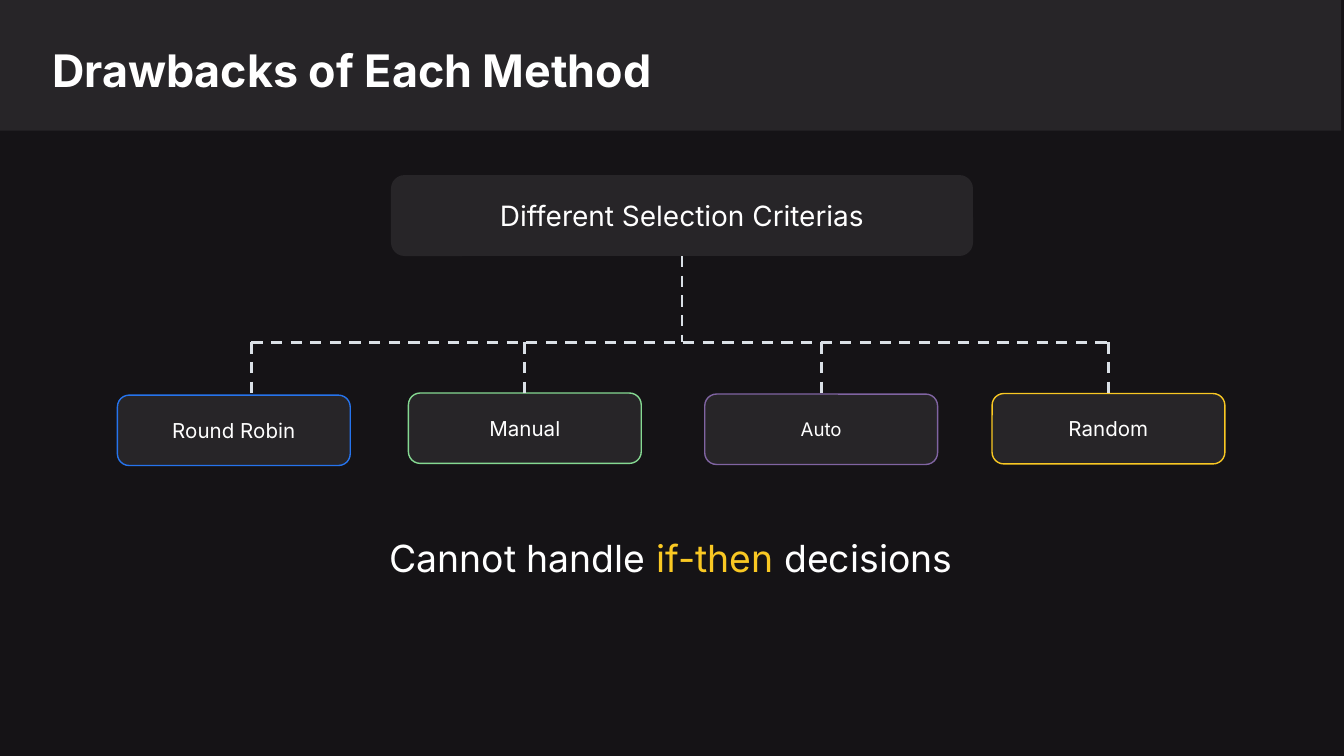
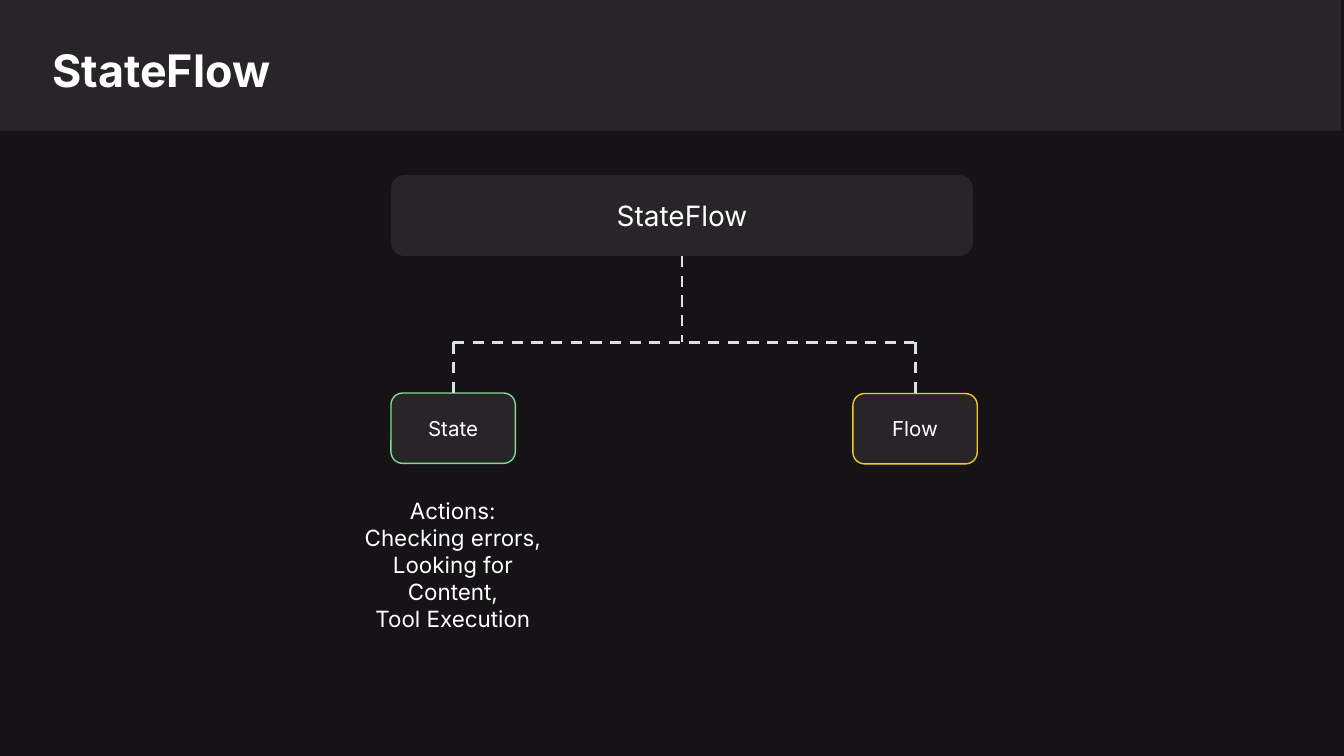
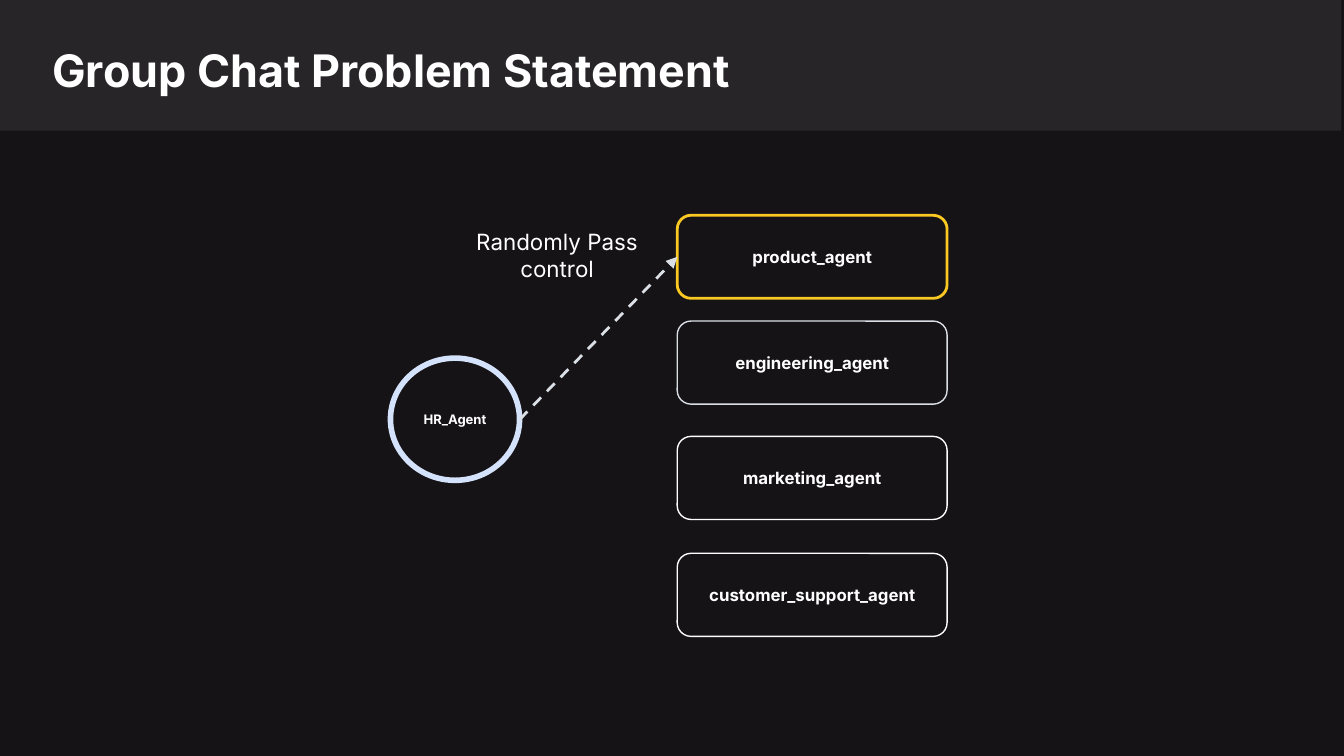
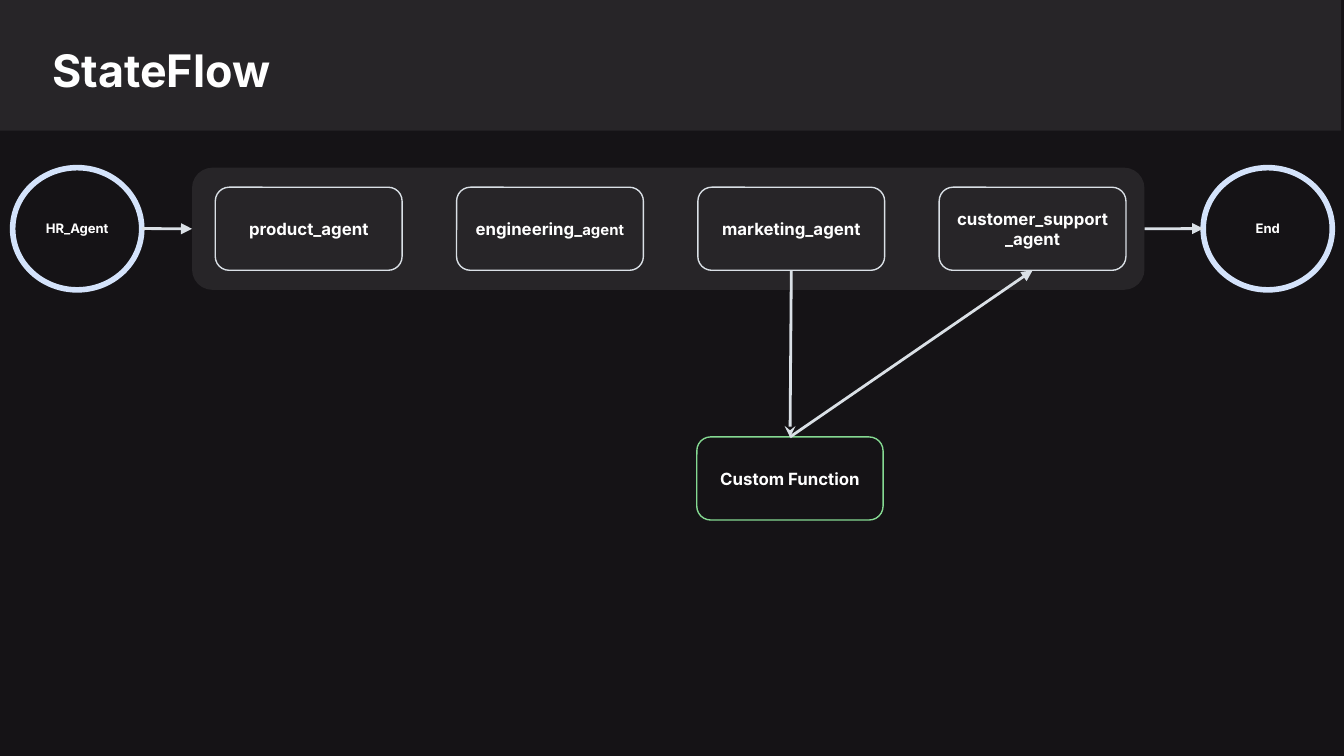
from lxml.etree import SubElement
from pptx import Presentation
from pptx.dml.color import RGBColor
from pptx.enum.dml import MSO_LINE
from pptx.enum.shapes import MSO_CONNECTOR, MSO_SHAPE
from pptx.enum.text import MSO_ANCHOR, PP_ALIGN
from pptx.oxml.ns import qn
from pptx.util import Cm, Pt

COLORS = {
    "background": "151316",
    "panel": "272528",
    "white": "FFFFFF",
    "connector": "DAE0E6",
    "circle": "D4E3FB",
    "blue": "2674ED",
    "green": "85D992",
    "purple": "8064A2",
    "yellow": "F9C823",
}
FONT = "Inter"
TOP, LEFT, BOTTOM, RIGHT = range(4)  # connection sites of a rectangle
ROUNDED = MSO_SHAPE.ROUNDED_RECTANGLE
OVAL = MSO_SHAPE.OVAL


def add_box(page, text, at, shape=None, fill=None, outline=None, weight=0.75,
            size=11, bold=False, align=PP_ALIGN.CENTER):
    """Add a text box or a shape; text is a string with one paragraph a line,
    or a list of (words, color, size) spans for a single paragraph."""
    place = [Cm(length) for length in at]
    if shape is None:
        box = page.shapes.add_textbox(*place)
    else:
        box = page.shapes.add_shape(shape, *place)
        box.shadow.inherit = False
        if fill:
            box.fill.solid()
            box.fill.fore_color.rgb = RGBColor.from_string(COLORS[fill])
        else:
            box.fill.background()
        if outline:
            box.line.color.rgb = RGBColor.from_string(COLORS[outline])
            box.line.width = Pt(weight)
        else:
            box.line.fill.background()
    frame = box.text_frame
    frame.word_wrap = True
    frame.vertical_anchor = MSO_ANCHOR.MIDDLE if shape else MSO_ANCHOR.TOP
    frame.margin_left = frame.margin_right = Cm(0.25)
    frame.margin_top = frame.margin_bottom = Cm(0.25)
    if isinstance(text, str):
        lines = [[(line, "white", size)] for line in text.split("\n")]
    else:
        lines = [text]
    for number, spans in enumerate(lines):
        para = frame.add_paragraph() if number else frame.paragraphs[0]
        para.alignment = align
        for words, color, span_size in spans:
            if not words:
                continue
            span = para.add_run()
            span.text = words
            span.font.name = FONT
            span.font.size = Pt(span_size)
            span.font.bold = bold
            span.font.color.rgb = RGBColor.from_string(COLORS[color])
    return box


def add_line(page, begin, end, dashed=False, arrow=None):
    """Join two ends, each an (x, y) point or a (box, site) pair."""
    points = [(0, 0) if hasattr(a, "shape_id") else (Cm(a), Cm(b))
              for a, b in (begin, end)]
    line = page.shapes.add_connector(MSO_CONNECTOR.STRAIGHT, *points[0], *points[1])
    if hasattr(begin[0], "shape_id"):
        line.begin_connect(*begin)
    if hasattr(end[0], "shape_id"):
        line.end_connect(*end)
    line.line.color.rgb = RGBColor.from_string(COLORS["connector"])
    line.line.width = Pt(1.5)
    if dashed:
        line.line.dash_style = MSO_LINE.DASH
    properties = line._element.spPr
    if arrow:
        SubElement(properties.find(qn("a:ln")), qn("a:tailEnd"), type=arrow)
    SubElement(properties, qn("a:effectLst"))


deck = Presentation()
deck.slide_width, deck.slide_height = Cm(25.4), Cm(14.29)

# Every page: background, header band and title
pages = []
for title in ("Drawbacks of Each Method", "StateFlow",
              "Group Chat Problem Statement", "StateFlow"):
    page = deck.slides.add_slide(deck.slide_layouts[6])
    page.background.fill.solid()
    page.background.fill.fore_color.rgb = RGBColor.from_string(COLORS["background"])
    add_box(page, "", (0, -0.03, 25.35, 2.5), shape=MSO_SHAPE.RECTANGLE, fill="panel")
    add_box(page, title, (0.74, 0.55, 23.55, 1.47), size=24, bold=True,
            align=PP_ALIGN.LEFT)
    pages.append(page)
drawbacks, stateflow, group_chat, agent_flow = pages

# Pages 1 and 2: a tree with a root, a rail and leaves
# leaf: label, left, top, outline, text size, x where the drop ends if off centre
RAIL_Y, LEAF_HEIGHT = 6.47, 1.33
trees = [
    (drawbacks, "Different Selection Criterias", (4.75, 20.95), 4.4, [
        ("Round Robin", 2.22, 7.47, "blue", 11, 4.75),
        ("Manual", 7.72, 7.43, "green", 11, None),
        ("Auto", 13.32, 7.45, "purple", 10, None),
        ("Random", 18.75, 7.44, "yellow", 11, None),
    ]),
    (stateflow, "StateFlow", (8.56, 17.27), 2.35, [
        ("State", 7.39, 7.43, "green", 11, None),
        ("Flow", 16.12, 7.44, "yellow", 11, None),
    ]),
]
for page, root_label, (rail_left, rail_right), leaf_width, leaves in trees:
    root = add_box(page, root_label, (7.39, 3.31, 11, 1.53), shape=ROUNDED,
                   fill="panel", size=15)
    add_line(page, (root, BOTTOM), (12.89, RAIL_Y), dashed=True)
    add_line(page, (rail_left, RAIL_Y), (rail_right, RAIL_Y), dashed=True)
    for label, left, top, outline, size, drop_x in leaves:
        leaf = add_box(page, label, (left, top, leaf_width, LEAF_HEIGHT),
                       shape=ROUNDED, fill="panel", outline=outline, size=size)
        drop_end = (drop_x, top) if drop_x else (leaf, TOP)
        add_line(page, (drop_x or left + leaf_width / 2, RAIL_Y), drop_end, dashed=True)

add_box(drawbacks, [("Cannot handle ", "white", 20), ("if-then", "yellow", 20),
                    (" decisions", "white", 20)], (1.58, 9.86, 22.2, 1.47))
add_box(stateflow, "Actions: Checking errors, Looking for Content,\nTool Execution",
        (6.52, 9.15, 4.08, 1.02), size=12)

# Page 3: one agent hands control to a random other
add_box(group_chat, "HR_Agent", (7.38, 6.77, 2.44, 2.31), shape=OVAL,
        outline="circle", weight=3, size=7, bold=True)
agents = {}
for name, top, outline, weight in [
    ("product_agent", 4.07, "yellow", 1.5),
    ("engineering_agent", 6.07, "connector", 0.75),
    ("marketing_agent", 8.25, "white", 0.75),
    ("customer_support_agent", 10.46, "white", 0.75),
]:
    agents[name] = add_box(group_chat, name, (12.8, top, 5.1, 1.57), shape=ROUNDED,
                           outline=outline, weight=weight, size=9, bold=True)
add_line(group_chat, (9.82, 7.93), (agents["product_agent"], LEFT),
         dashed=True, arrow="triangle")
add_box(group_chat, "Randomly Pass control", (8.46, 4.06, 4.14, 1.02), size=12)

# Page 4: a chain of agents with a detour through a function
custom = add_box(agent_flow, "Custom Function", (13.17, 8.26, 3.52, 1.57),
                 shape=ROUNDED, outline="green", size=9, bold=True)
group = add_box(agent_flow, "", (3.63, 3.17, 18, 2.31), shape=ROUNDED, fill="panel")
chain = []
for index, label in enumerate([
    "product_agent",
    [("engineering_", "white", 9), ("agent", "white", 8)],
    "marketing_agent",
    "customer_support_agent",
]):
    chain.append(add_box(agent_flow, label, (4.07 + 4.56 * index, 3.54, 3.53, 1.57),
                         shape=ROUNDED, outline="connector", size=9, bold=True))
for label, left in (("HR_Agent", 0.24), ("End", 22.74)):
    add_box(agent_flow, label, (left, 3.17, 2.44, 2.31), shape=OVAL,
            outline="circle", weight=3, size=7, bold=True)
marketing, support = chain[2:]
for begin, end, arrow in [
    ((2.68, 4.32), (group, LEFT), "triangle"),
    ((group, RIGHT), (22.74, 4.32), "triangle"),
    ((custom, TOP), (support, BOTTOM), "triangle"),
    ((marketing, BOTTOM), (custom, TOP), "stealth"),
]:
    add_line(agent_flow, begin, end, arrow=arrow)

deck.save("out.pptx")
